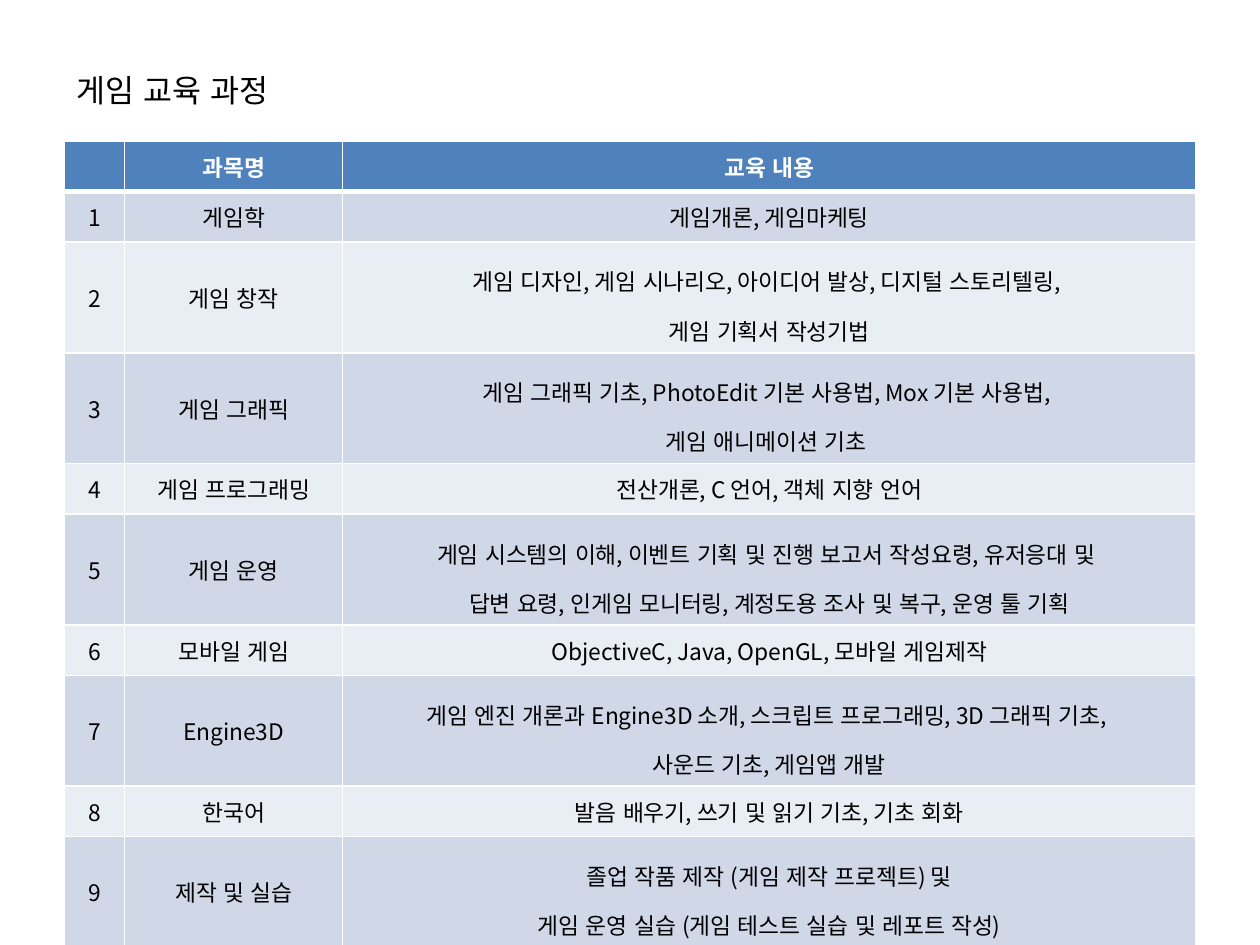
from lxml.etree import SubElement
from pptx import Presentation
from pptx.dml.color import RGBColor
from pptx.enum.lang import MSO_LANGUAGE_ID
from pptx.enum.text import MSO_ANCHOR, MSO_AUTO_SIZE, PP_ALIGN
from pptx.oxml.ns import qn
from pptx.util import Inches, Pt

FONT = "Noto Sans CJK KR"
COLORS = {"text": "000000", "white": "FFFFFF", "header": "4F81BD",
          "odd": "D0D8E8", "even": "E9EDF4"}
COLUMN_WIDTHS = (0.48, 1.73, 6.77)
ROW_HEIGHT = 0.4
TALL_ROW_HEIGHT = 0.88
HEADINGS = ("", "과목명", "교육 내용")
COURSES = [
    ("게임학", "게임개론, 게임마케팅"),
    ("게임 창작", "게임 디자인, 게임 시나리오, 아이디어 발상, 디지털 스토리텔링, \n"
                "게임 기획서 작성기법"),
    ("게임 그래픽", "게임 그래픽 기초, PhotoEdit 기본 사용법, Mox 기본 사용법, \n"
                 "게임 애니메이션 기초 "),
    ("게임 프로그래밍", "전산개론, C 언어, 객체 지향 언어"),
    ("게임 운영", "게임 시스템의 이해, 이벤트 기획 및 진행 보고서 작성요령, 유저응대 및 \n"
                "답변 요령, 인게임 모니터링, 계정도용 조사 및 복구, 운영 툴 기획"),
    ("모바일 게임", "ObjectiveC, Java, OpenGL, 모바일 게임제작"),
    ("Engine3D", "게임 엔진 개론과 Engine3D 소개, 스크립트 프로그래밍, 3D 그래픽 기초, \n"
                 "사운드 기초, 게임앱 개발"),
    ("한국어", "발음 배우기, 쓰기 및 읽기 기초, 기초 회화"),
    ("제작 및 실습", "졸업 작품 제작 (게임 제작 프로젝트) 및\n"
                  "게임 운영 실습 (게임 테스트 실습 및 레포트 작성)"),
]


def write_text(frame, text, size=13, color="text", bold=False,
               align=PP_ALIGN.CENTER, spacing=None):
    for index, line in enumerate(text.split("\n")):
        paragraph = frame.add_paragraph() if index else frame.paragraphs[0]
        paragraph.alignment = align
        if spacing:
            paragraph.line_spacing = spacing
        if not line:
            # Keep the empty cell as low as its neighbours
            SubElement(paragraph._p, qn("a:endParaRPr"), sz=str(size * 100))
            continue
        run = paragraph.add_run()
        run.text = line
        font = run.font
        font.name, font.size, font.bold = FONT, Pt(size), bold
        font.language_id = MSO_LANGUAGE_ID.KOREAN
        font.color.rgb = RGBColor.from_string(COLORS[color])
        # Pair kerning off
        font._element.set("kern", "0")
        SubElement(font._element, qn("a:ea"), typeface=FONT)


def set_borders(cell, bottom_width):
    properties = cell._tc.get_or_add_tcPr()
    widths = {"L": 1, "R": 1, "T": 1, "B": bottom_width}
    for index, (side, width) in enumerate(widths.items()):
        line = properties.makeelement(qn(f"a:ln{side}"), {"w": str(Pt(width))})
        fill = SubElement(line, qn("a:solidFill"))
        SubElement(fill, qn("a:srgbClr"), val=COLORS["white"])
        properties.insert(index, line)


def fill_cell(cell, text, fill, bottom_width=1, **text_format):
    cell.fill.solid()
    cell.fill.fore_color.rgb = RGBColor.from_string(COLORS[fill])
    cell.vertical_anchor = MSO_ANCHOR.MIDDLE
    set_borders(cell, bottom_width)
    write_text(cell.text_frame, text, **text_format)


def add_title(slide, text):
    title = slide.shapes.title
    title.left, title.top = Inches(0.51), Inches(0.51)
    title.width, title.height = Inches(1.97), Inches(0.4)
    frame = title.text_frame
    frame.word_wrap = True
    frame.auto_size = MSO_AUTO_SIZE.SHAPE_TO_FIT_TEXT
    frame.vertical_anchor = MSO_ANCHOR.TOP
    write_text(frame, text, size=18, align=PP_ALIGN.LEFT)


def add_curriculum(slide):
    # Courses with two lines of content get a tall row
    heights = [ROW_HEIGHT] + [TALL_ROW_HEIGHT if "\n" in content else ROW_HEIGHT
                              for _, content in COURSES]
    curriculum = slide.shapes.add_table(
        len(heights), len(COLUMN_WIDTHS), Inches(0.51), Inches(1.12),
        Inches(sum(COLUMN_WIDTHS)), Inches(sum(heights))).table
    for column, width in zip(curriculum.columns, COLUMN_WIDTHS):
        column.width = Inches(width)
    for row, height in zip(curriculum.rows, heights):
        row.height = Inches(height)

    # Header row
    for column, heading in enumerate(HEADINGS):
        fill_cell(curriculum.cell(0, column), heading, "header",
                  bottom_width=3, color="white", bold=True)

    # Numbered courses in alternating bands
    for number, course in enumerate(COURSES, start=1):
        band = "odd" if number % 2 else "even"
        for column, text in enumerate((str(number), *course)):
            fill_cell(curriculum.cell(number, column), text, band,
                      spacing=1.5 if "\n" in text else None)


def main():
    presentation = Presentation()
    presentation.slide_width, presentation.slide_height = Inches(10), Inches(7.5)
    slide = presentation.slides.add_slide(presentation.slide_layouts[5])
    add_curriculum(slide)
    add_title(slide, "게임 교육 과정")
    presentation.save("out.pptx")


main()
